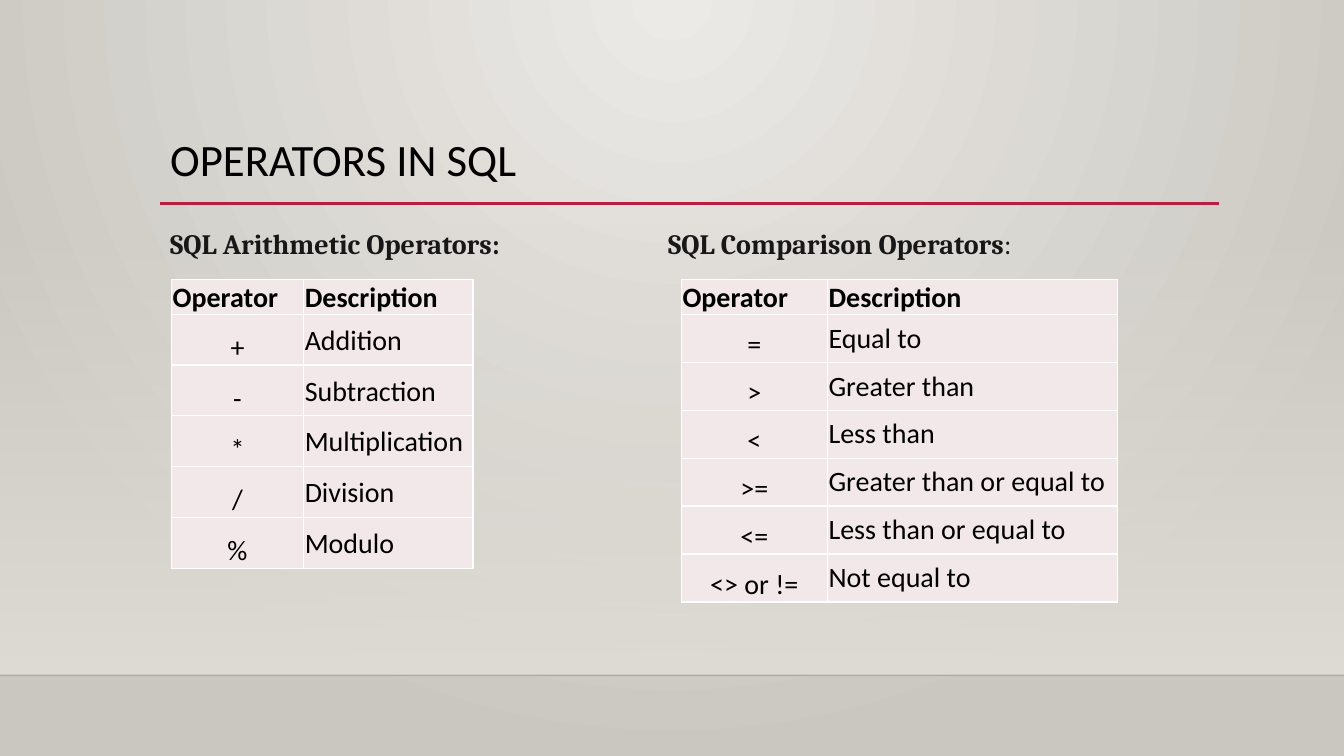
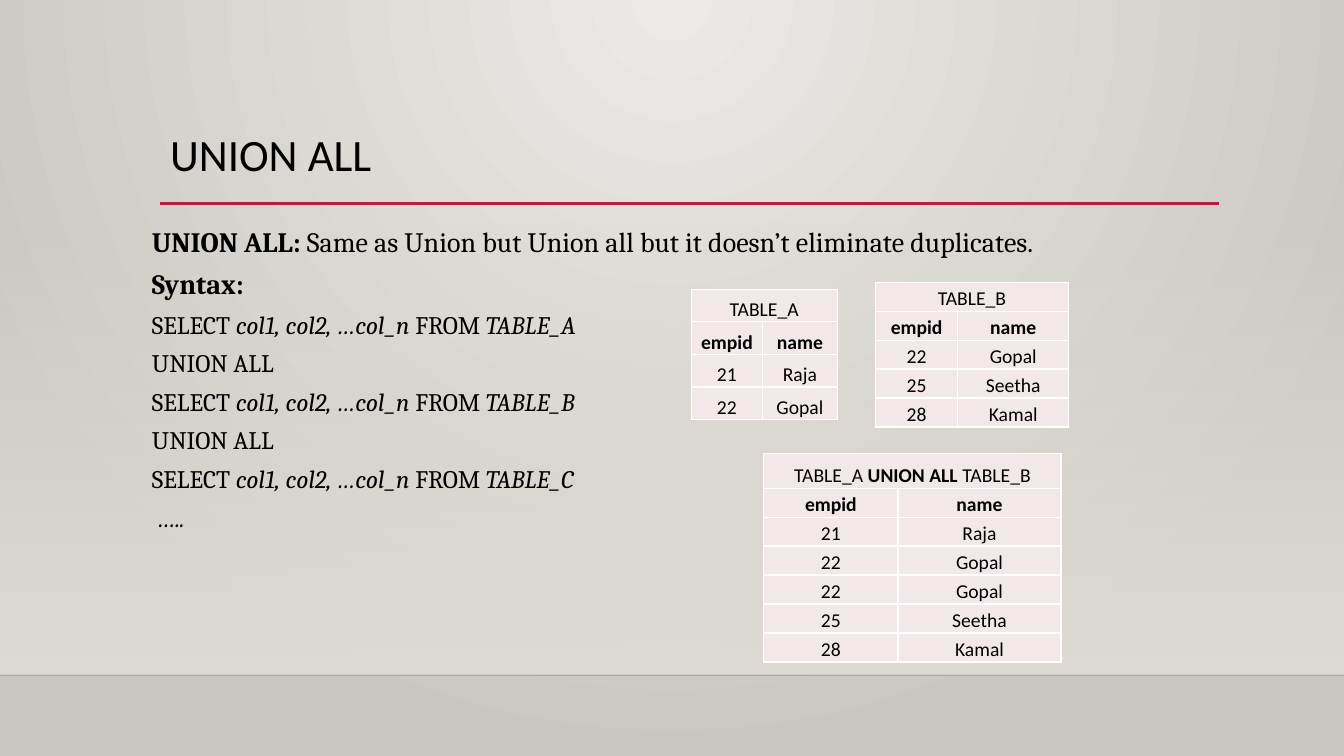
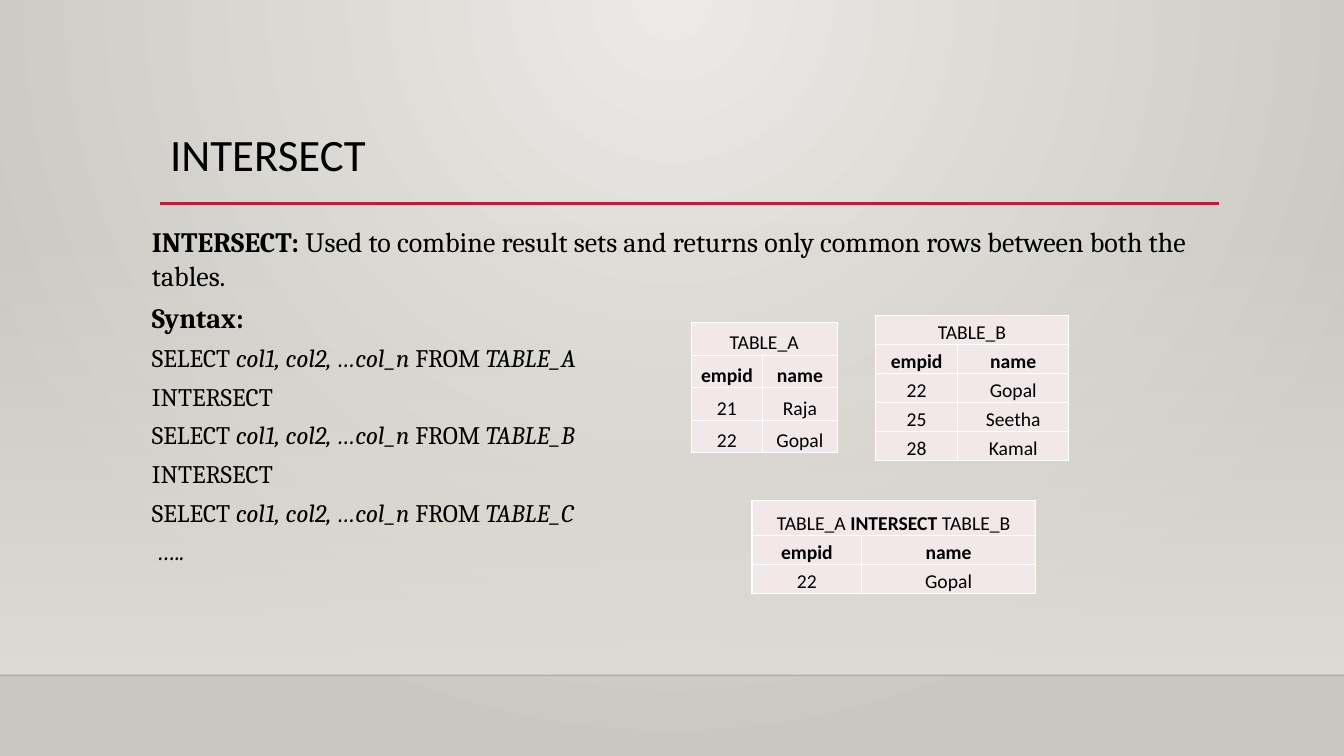
from collections import namedtuple

from lxml.etree import SubElement
from pptx import Presentation
from pptx.dml.color import RGBColor
from pptx.enum.shapes import MSO_CONNECTOR, MSO_SHAPE
from pptx.enum.text import MSO_ANCHOR, PP_ALIGN
from pptx.oxml.ns import qn
from pptx.util import Cm, Pt

Box = namedtuple("Box", "left top width height")

SLIDE = Box(0, 0, 33.87, 19.05)
FLOOR = 17.02
RULE = 5.13
BLACK, INK, WHITE, ACCENT = "000000", "171717", "FFFFFF", "B71E42"
LIGHT, SHADE, WALL, CELL = "ECEAE7", "CAC7C1", "DFDBD5", "F3E8E9"
SANS, SERIF = "Calibri", "Cambria"

TABLE_A = [("21", "Raja"), ("22", "Gopal")]
TABLE_B = [("22", "Gopal"), ("25", "Seetha"), ("28", "Kamal")]


def colour(value):
    return RGBColor.from_string(value)


def lengths(*values):
    return [Cm(value) for value in values]


def add_alpha(colour_node, percent):
    SubElement(colour_node, qn("a:alpha")).set("val", str(percent * 1000))


def write(para, text, font=SANS, size=20, tint=BLACK, bold=False, italic=False):
    span = para.add_run()
    span.text = text
    span.font.name = font
    span.font.size = Pt(size)
    span.font.color.rgb = colour(tint)
    span.font.bold = bold
    span.font.italic = italic


def add_text(page, box, paragraphs, before=0, after=0, spacing=1.0):
    frame = page.shapes.add_textbox(*lengths(*box)).text_frame
    frame.word_wrap = True
    for index, spans in enumerate(paragraphs):
        para = frame.add_paragraph() if index else frame.paragraphs[0]
        para.space_before, para.space_after = Pt(before), Pt(after)
        para.line_spacing = spacing
        for text, style in spans:
            write(para, text, **style)


def add_rule(page, left, right, height, tint, weight, opacity=100):
    rule = page.shapes.add_connector(
        MSO_CONNECTOR.STRAIGHT, *lengths(left, height, right, height))
    rule.line.color.rgb = colour(tint)
    rule.line.width = Pt(weight)
    properties = rule._element.spPr
    add_alpha(properties.find(".//" + qn("a:srgbClr")), opacity)
    SubElement(properties, qn("a:effectLst"))


def set_gradient(fill, first, last):
    fill.gradient()
    for stop, tint in zip(fill.gradient_stops, (first, last)):
        stop.color.rgb = colour(tint)


def set_background(master):
    set_gradient(master.background.fill, LIGHT, SHADE)
    gradient = master._element.find(".//" + qn("p:bg")).find(".//" + qn("a:gradFill"))
    gradient.remove(gradient.find(qn("a:lin")))
    circle = SubElement(gradient, qn("a:path"), path="circle")
    SubElement(circle, qn("a:fillToRect"), l="43000", t="0", r="43000", b="100000")


def add_page(deck, title, title_box):
    page = deck.slides.add_slide(deck.slide_layouts[6])
    wall = page.shapes.add_shape(
        MSO_SHAPE.RECTANGLE, *lengths(0, 5.61, SLIDE.width, FLOOR - 5.61))
    wall.shadow.inherit = False
    wall.line.fill.background()
    set_gradient(wall.fill, WALL, WALL)
    wall.fill.gradient_angle = 270
    add_alpha(wall._element.spPr.find(".//" + qn("a:srgbClr")), 0)
    add_rule(page, 0, SLIDE.width, FLOOR, "000001", 1, opacity=20)
    add_rule(page, 4.04, 30.73, RULE, ACCENT, 2.5)
    add_text(page, title_box, [[(title, {"size": 32})]], spacing=0.9)
    return page


def add_borders(cell):
    properties = cell._tc.get_or_add_tcPr()
    for index, side in enumerate(("lnL", "lnR", "lnT", "lnB")):
        line = SubElement(properties, qn("a:" + side), w=str(Pt(1)))
        solid = SubElement(line, qn("a:solidFill"))
        SubElement(solid, qn("a:srgbClr"), val=WHITE)
        properties.insert(index, line)


def format_cell(cell, spans, align, padding):
    cell.fill.solid()
    cell.fill.fore_color.rgb = colour(CELL)
    add_borders(cell)
    cell.vertical_anchor = MSO_ANCHOR.BOTTOM
    cell.margin_left = cell.margin_right = Cm(0.03)
    cell.margin_top, cell.margin_bottom = lengths(*padding)
    para = cell.text_frame.paragraphs[0]
    para.alignment = align
    for text, style in spans:
        write(para, text, **style)


def add_grid(page, left, top, columns, heights):
    frame = page.shapes.add_table(
        len(heights), len(columns), *lengths(left, top, sum(columns), sum(heights)))
    table = frame.table
    table.first_row = table.horz_banding = False
    for column, width in zip(table.columns, columns):
        column.width = Cm(width)
    for row, height in zip(table.rows, heights):
        row.height = Cm(height)
    return table


def add_operator_table(page, left, top, columns, head_height, row_height, operators):
    rows = [("Operator", "Description"), *operators]
    heights = [head_height] + [row_height] * len(operators)
    table = add_grid(page, left, top, columns, heights)
    for r, row in enumerate(rows):
        for c, text in enumerate(row):
            align = PP_ALIGN.CENTER if r and c == 0 else PP_ALIGN.LEFT
            padding = (0.18, 0.18) if r and c else (0.03, 0)
            format_cell(table.cell(r, c), [(text, {"bold": r == 0})], align, padding)


def add_data_table(page, left, top, columns, head_height, row_height, caption, records):
    rows = [("empid", "name"), *records]
    heights = [head_height] + [row_height] * len(rows)
    table = add_grid(page, left, top, columns, heights)
    table.cell(0, 0).merge(table.cell(0, 1))
    captions = [(text, {"size": 14, "bold": bold}) for text, bold in caption]
    cells = [[captions, []]]
    for r, row in enumerate(rows):
        cells.append([[(text, {"size": 14, "bold": r == 0})] for text in row])
    for r, row in enumerate(cells):
        for c, spans in enumerate(row):
            format_cell(table.cell(r, c), spans, PP_ALIGN.CENTER, (0.03, 0))


def add_syntax(page, box, keyword, definition):
    large = {"font": SERIF}
    strong = {**large, "bold": True}
    code = {**large, "size": 18}
    slanted = {**code, "italic": True}
    paragraphs = [[(keyword + ":", strong), (definition, large)], [("Syntax:", strong)]]
    for index, name in enumerate(("TABLE_A", "TABLE_B", "TABLE_C")):
        if index:
            paragraphs.append([(keyword, code)])
        paragraphs.append([("SELECT ", code), ("col1, col2, …col_n ", slanted),
                           ("FROM ", code), (name, slanted)])
    paragraphs.append([(" …..", slanted)])
    add_text(page, box, paragraphs, before=3, after=3)


def add_sources(page, left, top):
    add_data_table(page, left, top + 0.18, (1.8, 1.88), 0.82, 0.82,
                   [("TABLE_A", False)], TABLE_A)
    add_data_table(page, left + 4.64, top, (2.08, 2.79), 0.73, 0.73,
                   [("TABLE_B", False)], TABLE_B)


def add_operators_page(deck):
    page = add_page(deck, "OPERATORS IN SQL", Box(4.04, 3.35, 26.67, 1.73))
    heading = {"font": SERIF, "tint": INK}
    strong = {**heading, "bold": True}
    add_text(page, Box(4.04, 5.59, 10.8, 11.18),
             [[("SQL Arithmetic Operators:", strong)]], before=3)
    add_text(page, Box(16.59, 5.59, 12.65, 11.18),
             [[("SQL Comparison Operators", strong), (":", heading)]], before=3)
    add_operator_table(page, 4.32, 7.04, (3.33, 4.27), 0.82, 1.28, [
        ("+", "Addition"), ("-", "Subtraction"), ("*", "Multiplication"),
        ("/", "Division"), ("%", "Modulo")])
    add_operator_table(page, 17.17, 7.04, (3.68, 7.32), 0.88, 1.2, [
        ("=", "Equal to"), (">", "Greater than"), ("<", "Less than"),
        (">=", "Greater than or equal to"), ("<=", "Less than or equal to"),
        ("<> or !=", "Not equal to")])


def add_set_page(deck, keyword, definition, sources_top, result_box, columns, records):
    page = add_page(deck, keyword, Box(4.04, 3.23, 26.67, 1.91))
    add_syntax(page, Box(3.58, 5.54, 27.58, 11.3), keyword, definition)
    add_sources(page, 17.42, sources_top)
    caption = [("TABLE_A ", False), (keyword, True), (" TABLE_B", False)]
    add_data_table(page, *result_box, columns, 0.87, 0.73, caption, records)


def main():
    deck = Presentation()
    deck.slide_width, deck.slide_height = lengths(SLIDE.width, SLIDE.height)
    set_background(deck.slide_master)
    add_operators_page(deck)
    add_set_page(deck, "UNION ALL",
                 " Same as Union but Union all but it doesn’t eliminate duplicates.",
                 7.11, (19.25, 11.43), (3.38, 4.11), TABLE_A + TABLE_B)
    add_set_page(deck, "INTERSECT",
                 " Used to combine result sets and returns only common rows"
                 " between both the tables.",
                 7.95, (18.95, 12.62), (2.77, 4.37),
                 [record for record in TABLE_A if record in TABLE_B])
    deck.save("out.pptx")


if __name__ == "__main__":
    main()
